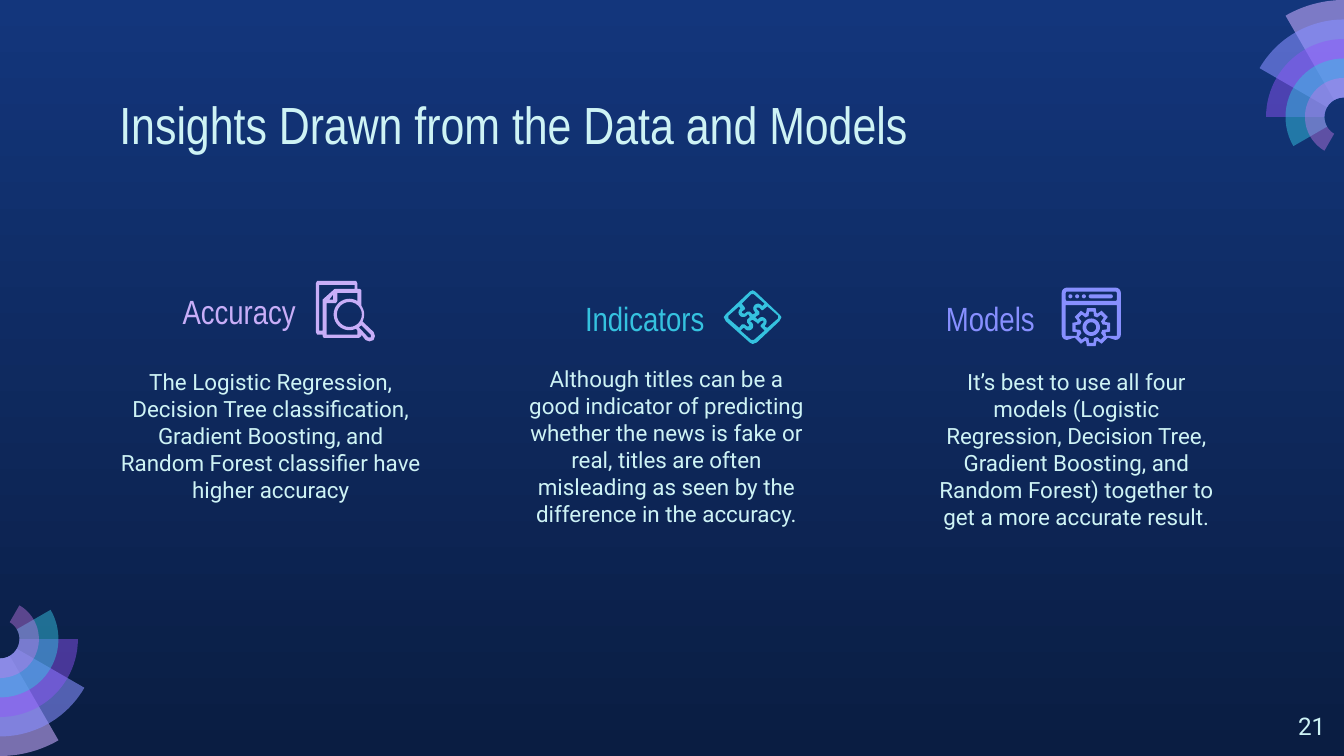
from math import cos, radians, sin

from lxml.etree import SubElement
from pptx import Presentation
from pptx.dml.color import RGBColor
from pptx.enum.shapes import MSO_SHAPE
from pptx.enum.text import MSO_ANCHOR, PP_ALIGN
from pptx.oxml.ns import qn
from pptx.util import Inches, Pt

W, H = 10, 5.625
ICE, LILAC, CYAN, BLUE = "CEF3F5", "C8AEF8", "35C2DF", "878FFF"
LEFT, CENTER, RIGHT = PP_ALIGN.LEFT, PP_ALIGN.CENTER, PP_ALIGN.RIGHT
NARROW, BODY = "Arial Narrow", "Roboto"

TITLE = "Insights Drawn from the Data and Models"
INSIGHTS = [
    ("Accuracy", LILAC, RIGHT, (0.46, 2.1),
     "The Logistic Regression, Decision Tree classification, Gradient Boosting, "
     "and Random Forest classifier have higher accuracy", (0.77, 2.64, 2.49, 0.89)),
    ("Indicators", CYAN, RIGHT, (3.5, 2.15),
     "Although titles can be a good indicator of predicting whether the news is fake "
     "or real, titles are often misleading as seen by the difference in the accuracy.",
     (3.81, 2.62, 2.3, 1)),
    ("Models", BLUE, LEFT, (6.94, 2.15),
     "It’s best to use all four models (Logistic Regression, Decision Tree, Gradient "
     "Boosting, and Random Forest) together to get a more accurate result.",
     (6.86, 2.64, 2.3, 0.89)),
]
FAN_BANDS = [("C8ACFD", 58), ("878FFF", 58), ("9154F8", 46), ("35C2DF", 49), ("CA7BEB", 42)]
FAN_STEP = 0.145
FANS = [(W, 6 * FAN_STEP, -90), (0, H - 6 * FAN_STEP, 90)]


def rgb(value):
    """Turn a hex string into a colour."""
    return RGBColor.from_string(value)


def arc(cx, cy, r, start, end, n=24):
    """Return points along a circular arc, in degrees."""
    angles = [radians(start + (end - start) * i / n) for i in range(n + 1)]
    return [(cx + r * cos(a), cy + r * sin(a)) for a in angles]


def box(x, y, w, h, r):
    """Return the outline of a rounded rectangle."""
    corners = [(x + r, y + r), (x + w - r, y + r), (x + w - r, y + h - r), (x + r, y + h - r)]
    return [pt for i, (cx, cy) in enumerate(corners)
            for pt in arc(cx, cy, r, 180 + 90 * i, 270 + 90 * i, 4)]


def teeth(angles, root, tip, wide, slim):
    """Return the outline of gear teeth at the given angles."""
    step = 1 if angles[1] > angles[0] else -1
    profile = [(root, -wide), (tip, -slim), (tip, slim), (root, wide)]
    return [arc(22, 29.5, r, a + step * d, a, 1)[0] for a in angles for r, d in profile]


def paint(sp, color, alpha=None):
    """Fill a shape without line or shadow."""
    sp.shadow.inherit = False
    sp.line.fill.background()
    sp.fill.solid()
    sp.fill.fore_color.rgb = rgb(color)
    if alpha:
        clr = sp.fill._xPr.find(qn("a:solidFill"))[0]
        SubElement(clr, qn("a:alpha"), val=str(alpha * 1000))


def outline(s, contours, color, alpha=None, origin=(0, 0), unit=1):
    """Draw closed contours as one freeform."""
    emu = [[tuple(Inches(o + v * unit) for o, v in zip(origin, pt)) for pt in c]
           for c in contours]
    fb = s.shapes.build_freeform(*emu[0][0])
    for i, pts in enumerate(emu):
        if i:
            fb.move_to(*pts[0])
        fb.add_line_segments(pts[1:], close=True)
    paint(fb.convert_to_shape(), color, alpha)


def text(s, words, place, size, font, color, align=LEFT, anchor=MSO_ANCHOR.TOP):
    """Add a one-paragraph text box."""
    tf = s.shapes.add_textbox(*map(Inches, place)).text_frame
    tf.word_wrap = True
    tf.vertical_anchor = anchor
    tf.margin_left = tf.margin_right = tf.margin_top = tf.margin_bottom = Inches(0.1)
    p = tf.paragraphs[0]
    p.text, p.alignment = words, align
    p.font.size, p.font.name, p.font.color.rgb = Pt(size), font, rgb(color)


DOCUMENT = [
    [(1, 0), (30, 0), (31, 2), (31, 6), (33, 6), (34, 7), (34, 18)]
    + arc(25, 25, 11, -35, 28, 8)
    + [(43, 38), (44, 41), (43, 44), (40, 45), (37, 44), (34, 40), (34, 41), (32, 42.5),
       (6, 42.5), (5, 41), (5, 40), (1, 40), (0, 38), (0, 2)],
    [(13, 10), (13, 14), (10, 14)],
    arc(25, 25, 9.3, 0, 360),
    [(29, 3), (29, 6), (14, 6), (5, 14), (5, 37), (2.5, 37), (2.5, 3)],
    [(31, 9), (31, 16)] + arc(25, 25, 11.7, -60, -295)
    + [(31, 37), (31, 40), (8, 40), (8, 16.5), (15, 16.5), (16, 15), (16, 9)],
    [(34, 33), (41, 40), (41, 42), (39, 42), (32, 34.5)],
]
PUZZLE = [
    [(20, 1), (22, 0), (24, 1), (42, 18), (43.5, 20), (42, 23), (25, 39), (22, 40),
     (20, 39), (2, 23), (0.5, 20), (2, 18)],
    [(22, 3), (23, 3), (31, 10), (29, 12)] + arc(26, 13.5, 3.5, -30, -225, 8)
    + [(24, 17), (22, 18), (20, 16), (18, 16), (16, 17.5), (14, 17), (14, 16),
       (16.5, 14), (16, 12.5), (14, 10), (21, 3)],
    [(12, 12), (13, 14)] + arc(15, 16.5, 3.5, 225, 30, 8)
    + [(19, 18), (20, 20), (18, 22), (18, 24), (19.5, 26), (19, 27), (18, 27),
       (16, 25.5), (14, 25.5), (12, 28), (4, 21), (4, 19)],
    [(33, 12), (41, 19), (41, 21), (33, 28), (31, 27)] + arc(29, 23.5, 3.5, 45, -150, 8)
    + [(26, 22), (24, 20), (27, 18), (27, 16), (25, 14), (25, 13), (27, 13), (29, 15),
       (30, 14.5)],
    [(22, 22), (25, 24), (26, 25), (28, 23), (30, 22.5), (30, 24), (28, 26), (28, 27),
     (31, 30), (23, 37), (21, 37), (13, 30), (15, 28)]
    + arc(19, 26.5, 3.5, 150, -45, 8) + [(20, 23)],
]
WINDOW = [
    arc(4, 4, 4, 180, 270, 4) + arc(40, 4, 4, 270, 360, 4) + arc(40, 35, 4, 0, 90, 4)
    + teeth([45, 90, 135], 11.2, 14.5, 20, 13)[1:-1] + arc(4, 35, 4, 90, 180, 4),
    box(3, 3, 38, 7, 1),
    [(3, 13), (41, 13), (41, 36), (33, 36)]
    + teeth([0, -45, -90, -135, -180], 11.2, 14.5, 20, 13) + [(11, 36), (3, 36)],
    teeth(range(0, 360, 45), 8.5, 11.7, 14, 8),
]
HUB = [arc(22, 29.5, r, 0, 360) for r in (6.5, 3.7)]
ICONS = [(DOCUMENT, (2.35, 2.09), LILAC), (PUZZLE, (5.38, 2.16), CYAN),
         (WINDOW, (7.9, 2.14), BLUE), (HUB, (7.9, 2.14), BLUE)]
TOOLBAR = [(MSO_SHAPE.OVAL, 7.95 + 0.05 * i, 0.03) for i in range(3)]
TOOLBAR += [(MSO_SHAPE.ROUNDED_RECTANGLE, 8.1, 0.18)]


def main():
    """Build the slide and save it."""
    prs = Presentation()
    prs.slide_width, prs.slide_height = Inches(W), Inches(H)
    s = prs.slides.add_slide(prs.slide_layouts[6])
    bg = s.background.fill
    bg.gradient()
    bg.gradient_angle = 270
    for stop, color in zip(bg.gradient_stops, ("13367C", "0A1D42")):
        stop.color.rgb = rgb(color)

    for cx, cy, up in FANS:
        for i, (color, alpha) in enumerate(FAN_BANDS):
            end = up - 30 * (i + 1)
            band = arc(cx, cy, FAN_STEP * (6 - i), up, end) + arc(cx, cy, FAN_STEP, end, up)
            outline(s, [band], color, alpha)

    text(s, TITLE, (0.79, 0.59, 8.43, 0.63), 28, NARROW, ICE)
    for name, color, align, corner, words, place in INSIGHTS:
        text(s, name, (*corner, 1.84, 0.43), 18, NARROW, color, align, MSO_ANCHOR.MIDDLE)
        text(s, words, place, 12, BODY, ICE, CENTER)
    for contours, origin, color in ICONS:
        outline(s, contours, color, origin=origin, unit=0.01)
    for kind, x, w in TOOLBAR:
        sp = s.shapes.add_shape(kind, *map(Inches, (x, 2.19, w, 0.03)))
        if kind == MSO_SHAPE.ROUNDED_RECTANGLE:
            sp.adjustments[0] = 0.5
        paint(sp, BLUE)
    text(s, "21", (9.36, 5.19, 0.6, 0.43), 13, BODY, ICE, RIGHT)
    prs.save("out.pptx")


if __name__ == "__main__":
    main()
